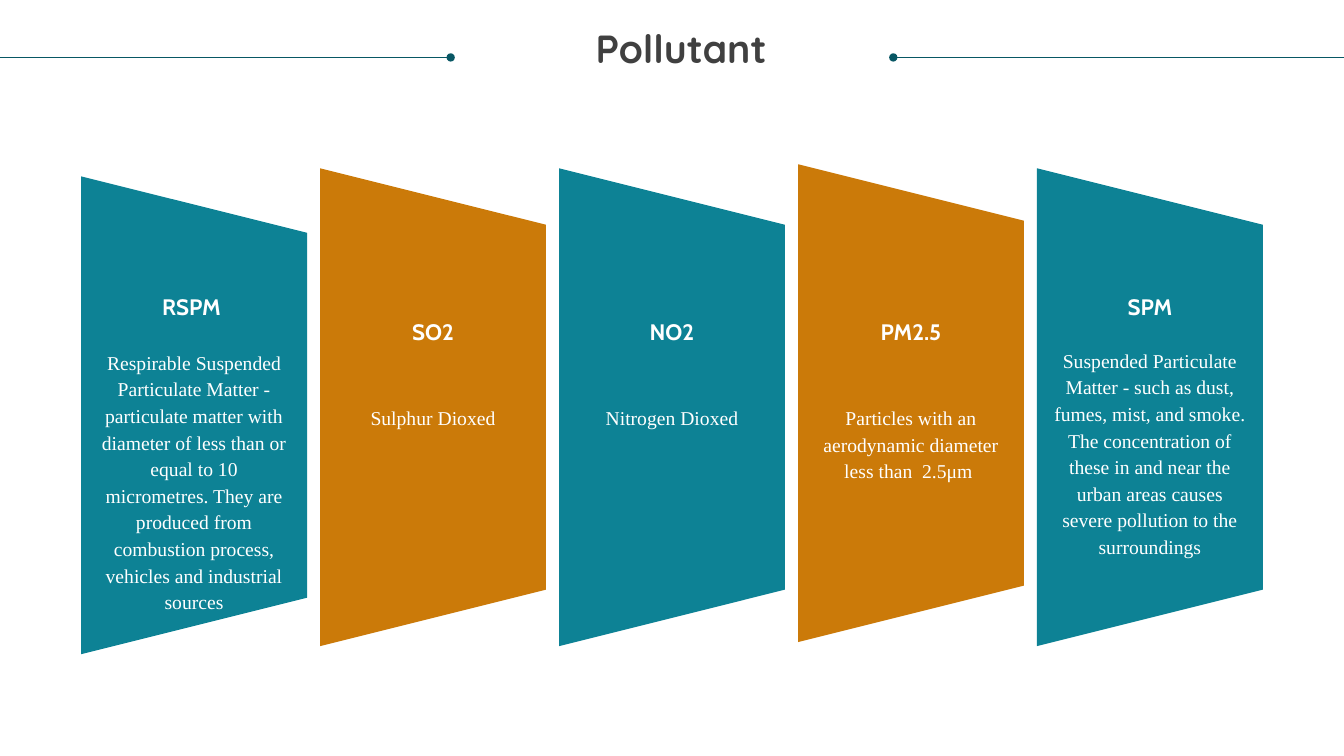
from lxml import etree
from pptx import Presentation
from pptx.dml.color import RGBColor
from pptx.enum.shapes import MSO_CONNECTOR, MSO_SHAPE
from pptx.enum.text import MSO_ANCHOR, MSO_AUTO_SIZE, PP_ALIGN
from pptx.oxml.ns import qn
from pptx.util import Inches, Pt

STRAIGHT = MSO_CONNECTOR.STRAIGHT
TRAPEZOID = MSO_SHAPE.TRAPEZOID
TOP, NO_FIT, CENTER = MSO_ANCHOR.TOP, MSO_AUTO_SIZE.NONE, PP_ALIGN.CENTER

# Content: name, description, then tops of panel, name and description
TITLE = "Pollutant"
POLLUTANTS = [
    ("RSPM ", "Respirable Suspended Particulate Matter - particulate matter with "
     "diameter of less than or equal to 10 micrometres. They are produced from "
     "combustion process, vehicles and industrial sources", 1.75, 2.91, 3.45),
    ("SO2", "Sulphur Dioxed", 1.67, 3.16, 4.0),
    ("NO2", "Nitrogen Dioxed", 1.67, 3.16, 4.0),
    ("PM2.5", "Particles with an aerodynamic diameter less than  2.5μm ",
     1.63, 3.16, 4.0),
    ("SPM", "Suspended Particulate Matter - such as dust, fumes, mist, and smoke. "
     "The concentration of these in and near the urban areas causes severe "
     "pollution to the surroundings", 1.67, 2.91, 3.43),
]
PANEL_COLORS = ["0D8295", "CB7A09"]
RULE_COLOR, TITLE_COLOR, WHITE = "085764", "404040", "FFFFFF"

# Grid, in inches
SLIDE_W, SLIDE_H = 13.33, 7.5
PANEL_W, PANEL_H, PITCH = 2.24, 4.74, 2.37
NAME_W, DESC_W = 1.5, 1.92
GRID_LEFT = (SLIDE_W - PITCH * (len(POLLUTANTS) - 1) - PANEL_W) / 2
RULE_Y, RULE_LEN = 0.57, 4.47


def rgb(color):
    return RGBColor.from_string(color)


def write(sp, text, size, font, color, bold=False, spacing=None):
    tf = sp.text_frame
    tf.word_wrap = True
    tf.auto_size = NO_FIT
    tf.vertical_anchor = TOP
    tf.margin_left = tf.margin_right = tf.margin_top = tf.margin_bottom = 0
    tf.text = text
    p = tf.paragraphs[0]
    p.alignment = CENTER
    p.space_before = Pt(0)
    p.line_spacing = spacing
    f = p.runs[0].font
    f.size, f.name, f.bold = Pt(size), font, bold
    f.color.rgb = rgb(color)


def add_text(center, top, width, height, *style, **options):
    sp = s.shapes.add_textbox(Inches(center - width / 2), Inches(top),
                              Inches(width), Inches(height))
    write(sp, *style, **options)


def add_rule(x_edge, x_dot):
    line = s.shapes.add_connector(STRAIGHT, Inches(x_edge), Inches(RULE_Y),
                                  Inches(x_dot), Inches(RULE_Y))
    line.line.color.rgb = rgb(RULE_COLOR)
    line.line.width = Pt(0.5)
    ln = line.line._get_or_add_ln()
    etree.SubElement(ln, qn("a:tailEnd"), type="oval")
    etree.SubElement(line._element.spPr, qn("a:effectLst"))


prs = Presentation()
prs.slide_width, prs.slide_height = Inches(SLIDE_W), Inches(SLIDE_H)
s = prs.slides.add_slide(prs.slide_layouts[5])

# Title between two rules ending in dots
title = s.shapes.title
title.left, title.top = Inches(0.34), Inches(0.29)
title.width, title.height = Inches(12.83), Inches(0.85)
write(title, TITLE, 28, "Quicksand", TITLE_COLOR, bold=True, spacing=0.9)
add_rule(0, RULE_LEN)
add_rule(SLIDE_W, SLIDE_W - RULE_LEN)

# Panels: trapezoids turned a quarter, each with a name and a description
for i, (name, desc, panel_y, name_y, desc_y) in enumerate(POLLUTANTS):
    center = GRID_LEFT + i * PITCH + PANEL_W / 2
    panel = s.shapes.add_shape(
        TRAPEZOID, Inches(center - PANEL_H / 2),
        Inches(panel_y + (PANEL_H - PANEL_W) / 2), Inches(PANEL_H), Inches(PANEL_W))
    panel.rotation = 90
    panel.shadow.inherit = False
    panel.fill.solid()
    panel.fill.fore_color.rgb = rgb(PANEL_COLORS[i % len(PANEL_COLORS)])
    panel.line.fill.background()
    add_text(center, name_y, NAME_W, 0.27, name, 16, "Cabin", WHITE, bold=True)
    add_text(center, desc_y, DESC_W, panel_y + PANEL_H - 0.4 - desc_y,
             desc, 14, "Times New Roman", WHITE, spacing=Pt(19))

prs.save("out.pptx")
